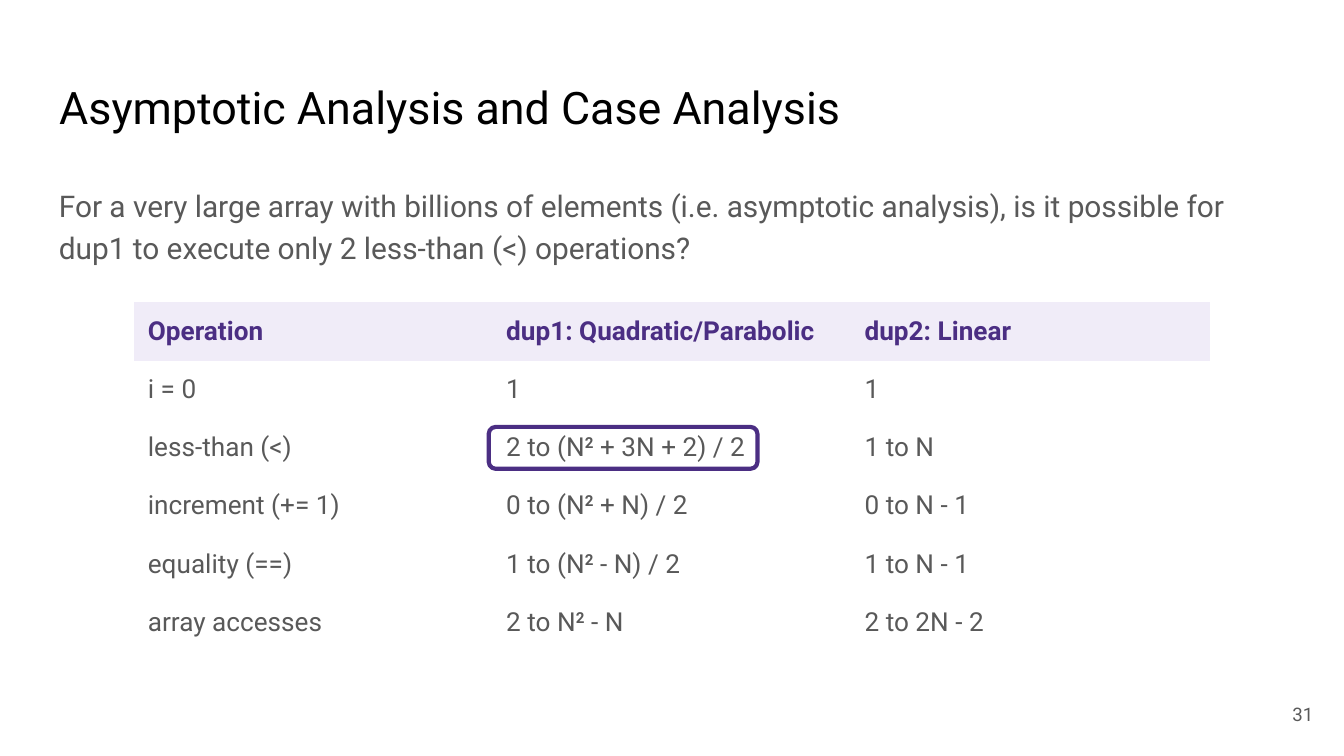
import pptx
import pptx.dml.color
import pptx.enum.shapes
import pptx.enum.text
import pptx.oxml.ns
import pptx.util

RGBColor = pptx.dml.color.RGBColor
PURPLE = RGBColor(0x4B, 0x2E, 0x83)
LAVENDER = RGBColor(0xF0, 0xEC, 0xF8)
GREY = RGBColor(0x59, 0x59, 0x59)
BLACK = RGBColor(0, 0, 0)
WHITE = RGBColor(0xFF, 0xFF, 0xFF)

FONT = "Roboto"
SLIDE_WIDTH = 10
SLIDE_SIZE = (SLIDE_WIDTH, SLIDE_WIDTH * 9 / 16)
INSET = pptx.util.Inches(0.1)
NO_GRID_STYLE = "{2D5ABB26-0587-4C30-8999-92F81FD0307C}"
ALIGN = pptx.enum.text.PP_ALIGN
ANCHOR = pptx.enum.text.MSO_ANCHOR

TITLE_BOX = (0.34, 0.49, 9.32, 0.63)
QUESTION_BOX = (0.34, 1.26, 9.32, 0.75)
TABLE_BOX = (1, 2.25, 8, 2.6)
NUMBER_BOX = (9.27, 5.1, 0.6, 0.43)

QUESTION = (
    "For a very large array with billions of elements (i.e. asymptotic analysis), "
    "is it possible for dup1 to execute only 2 less-than (<) operations?"
)
OPERATIONS = [
    ("Operation", "dup1: Quadratic/Parabolic", "dup2: Linear"),
    ("i = 0", "1", "1"),
    ("less-than (<)", "2 to (N^2^ + 3N + 2) / 2", "1 to N"),
    ("increment (+= 1)", "0 to (N^2^ + N) / 2", "0 to N - 1"),
    ("equality (==)", "1 to (N^2^ - N) / 2", "1 to N - 1"),
    ("array accesses", "2 to N^2^ - N", "2 to 2N - 2"),
]


def inches(box):
    """Convert a box of numbers to lengths."""
    return [pptx.util.Inches(value) for value in box]


def format_run(run, size, color, bold=False):
    """Give a run its font, size, colour and weight."""
    run.font.name = FONT
    run.font.size = pptx.util.Pt(size)
    run.font.color.rgb = color
    run.font.bold = bold


def fill_text(shape, text, size, color, align=ALIGN.LEFT, anchor=ANCHOR.TOP):
    """Write one formatted paragraph in a shape and return the paragraph."""
    frame = shape.text_frame
    frame.text = text
    frame.word_wrap = True
    frame.auto_size = pptx.enum.text.MSO_AUTO_SIZE.NONE
    frame.vertical_anchor = anchor
    frame.margin_left = frame.margin_right = INSET
    frame.margin_top = frame.margin_bottom = INSET
    paragraph = frame.paragraphs[0]
    paragraph.alignment = align
    format_run(paragraph.runs[0], size, color)
    return paragraph


def add_title(slide, box):
    """Place and format the title placeholder."""
    title = slide.shapes.title
    title.left, title.top, title.width, title.height = inches(box)
    fill_text(title, "Asymptotic Analysis and Case Analysis", 24, BLACK)


def add_question(slide, box):
    """Add the question under the title."""
    paragraph = fill_text(slide.shapes.add_textbox(*inches(box)), QUESTION, 16, GREY)
    paragraph.line_spacing = 1.15
    paragraph.space_after = pptx.util.Pt(8)


def fill_cell(cell, text, is_header):
    """Fill one table cell, raising the parts between carets."""
    cell.fill.solid()
    cell.fill.fore_color.rgb = LAVENDER if is_header else WHITE
    cell.margin_left = cell.margin_right = INSET
    cell.margin_top = cell.margin_bottom = INSET
    paragraph = cell.text_frame.paragraphs[0]
    for index, part in enumerate(text.split("^")):
        raised = index % 2 == 1
        run = paragraph.add_run()
        run.text = part
        format_run(run, 14, PURPLE if is_header else GREY, is_header or raised)
        if raised:
            run.font._element.set("baseline", "30000")


def add_operations(slide, box):
    """Add the table of operation counts."""
    row_count, column_count = len(OPERATIONS), len(OPERATIONS[0])
    frame = slide.shapes.add_table(row_count, column_count, *inches(box))
    table = frame.table
    table.horz_banding = False
    style = frame._element.find(".//" + pptx.oxml.ns.qn("a:tableStyleId"))
    style.text = NO_GRID_STYLE
    for row, texts in enumerate(OPERATIONS):
        for column, text in enumerate(texts):
            fill_cell(table.cell(row, column), text, row == 0)


def add_highlight(slide, box):
    """Outline the dup1 less-than count in the table's box."""
    left, top, width, height = box
    column_width, row_height = width / len(OPERATIONS[0]), height / len(OPERATIONS)
    outline_box = (left + column_width - 0.03, top + 2 * row_height + 0.06,
                   column_width * 0.75, row_height * 0.72)
    outline = slide.shapes.add_shape(
        pptx.enum.shapes.MSO_SHAPE.ROUNDED_RECTANGLE, *inches(outline_box))
    outline.shadow.inherit = False
    outline.fill.background()
    outline.line.color.rgb = PURPLE
    outline.line.width = pptx.util.Pt(2.25)


def add_page_number(slide, box):
    """Add the page number in the lower right corner."""
    fill_text(slide.shapes.add_textbox(*inches(box)), "31", 10, GREY,
              ALIGN.RIGHT, ANCHOR.MIDDLE)


def main():
    """Build and save the presentation."""
    presentation = pptx.Presentation()
    presentation.slide_width, presentation.slide_height = inches(SLIDE_SIZE)
    slide = presentation.slides.add_slide(presentation.slide_layouts[5])
    add_title(slide, TITLE_BOX)
    add_page_number(slide, NUMBER_BOX)
    add_operations(slide, TABLE_BOX)
    add_highlight(slide, TABLE_BOX)
    add_question(slide, QUESTION_BOX)
    presentation.save("out.pptx")


if __name__ == "__main__":
    main()
